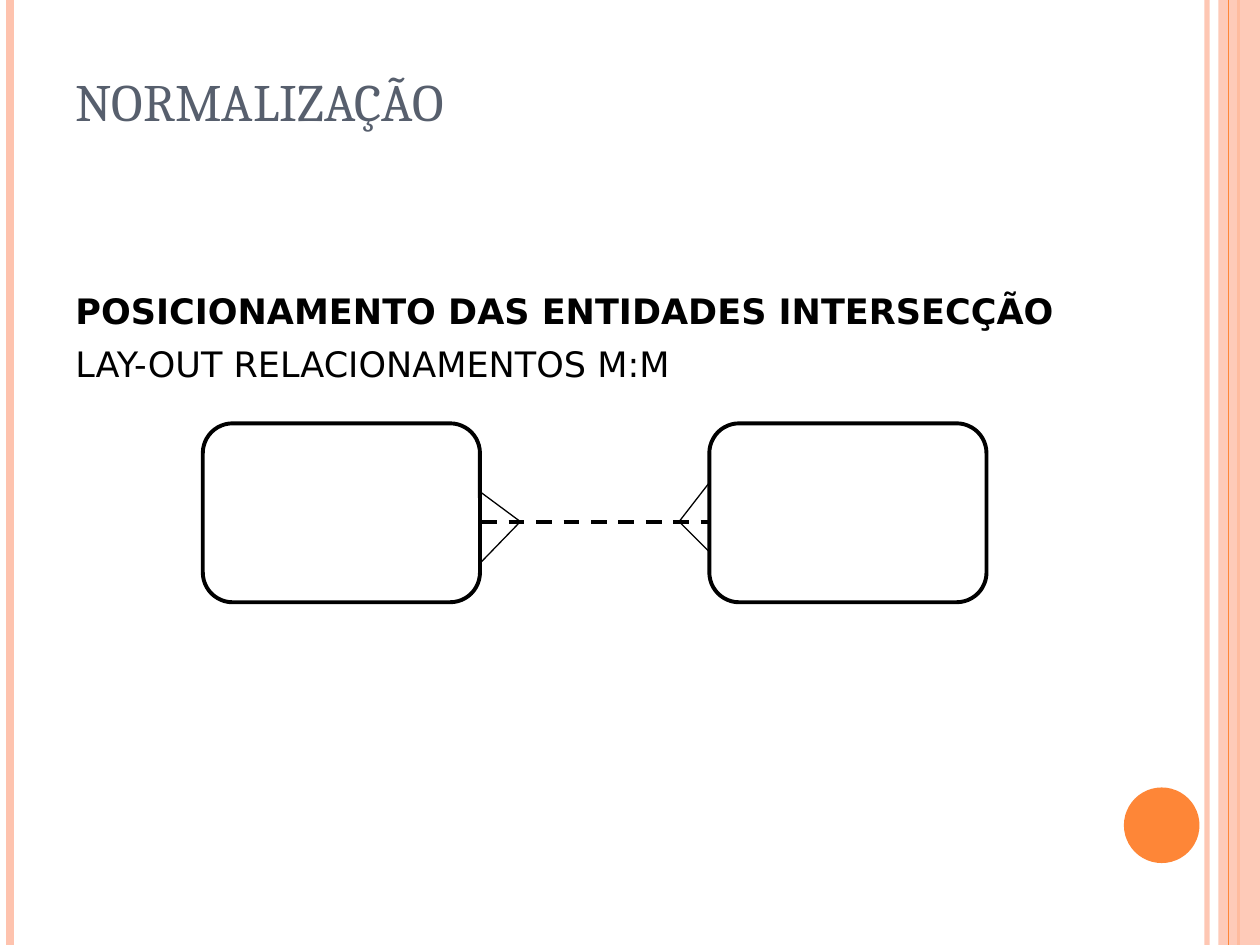
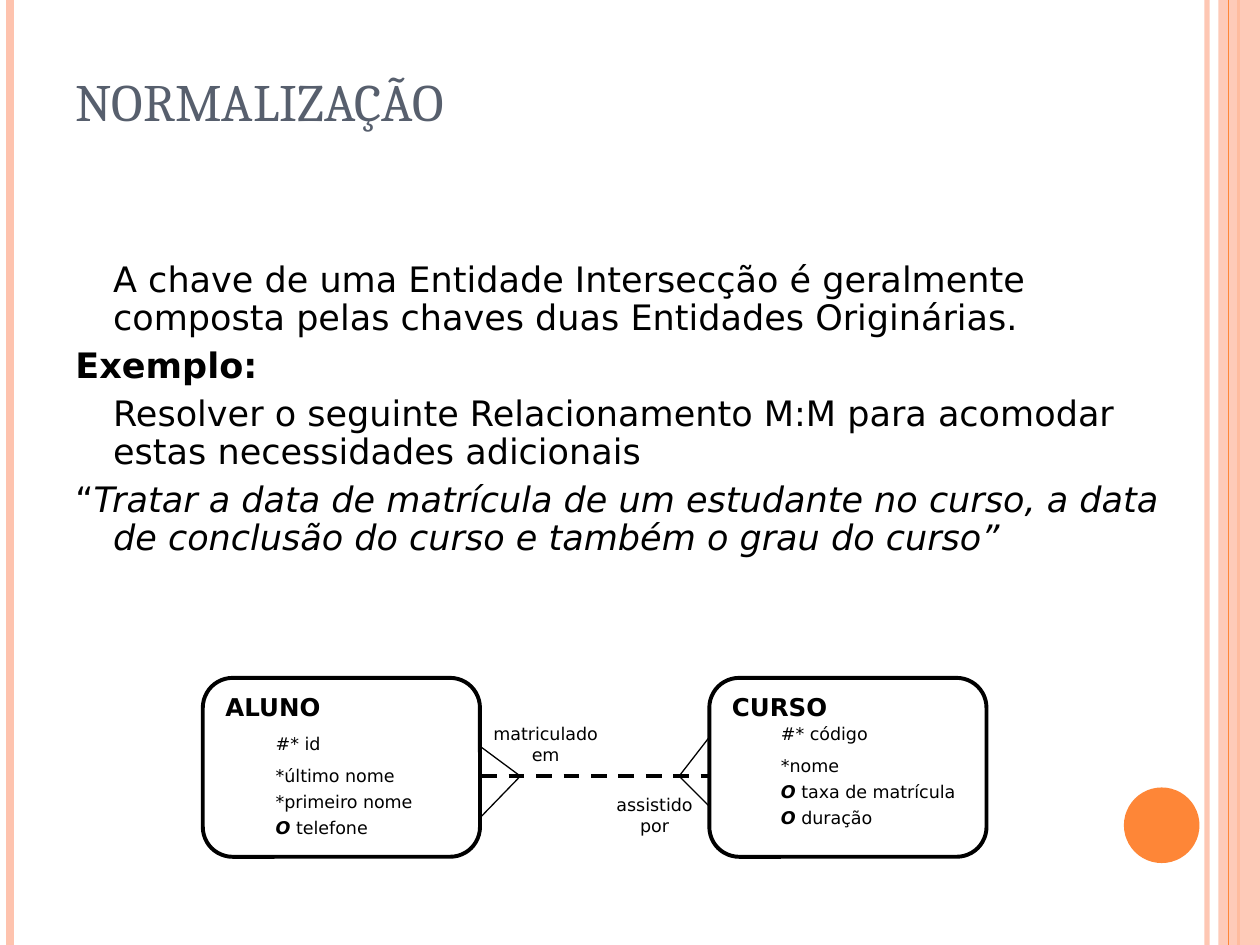
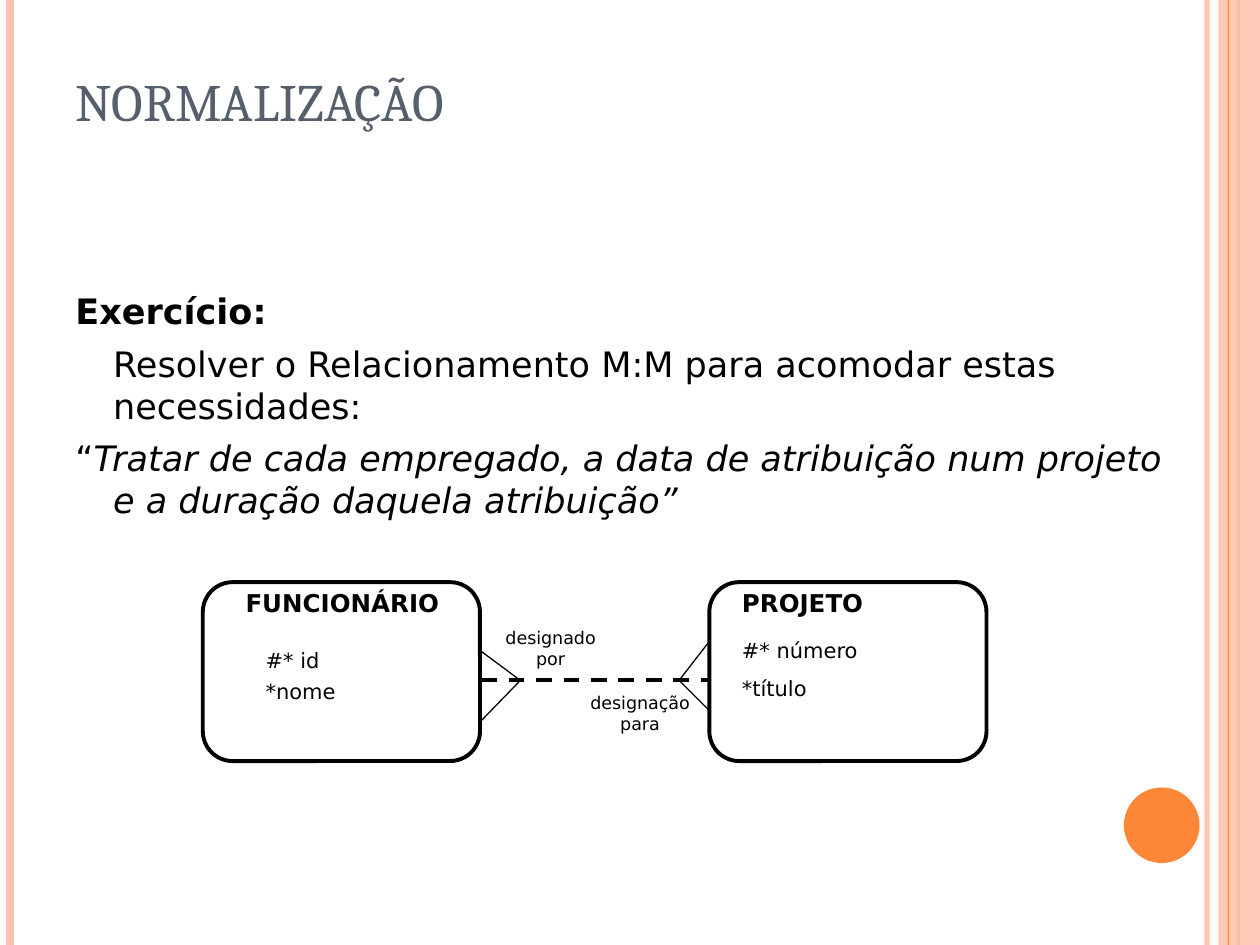
from dataclasses import dataclass

from lxml import etree
from pptx import Presentation
from pptx.dml.color import RGBColor
from pptx.enum.dml import MSO_LINE_DASH_STYLE as DASH
from pptx.enum.shapes import MSO_CONNECTOR_TYPE as CONNECTOR
from pptx.enum.shapes import MSO_SHAPE as SHAPE
from pptx.enum.text import MSO_ANCHOR as ANCHOR
from pptx.enum.text import PP_ALIGN as ALIGN
from pptx.oxml.ns import qn
from pptx.util import Inches, Pt

BLACK = RGBColor(0x00, 0x00, 0x00)
SLATE = RGBColor(0x57, 0x5F, 0x6D)
ORANGE = RGBColor(0xFE, 0x86, 0x37)
PEACH = RGBColor(0xFE, 0xC3, 0xAE)
TITLE_FONT = "Cambria"
BODY_FONT = "DejaVu Sans"

SLIDE_WIDTH, SLIDE_HEIGHT = 10, 7.5
ENTITY_WIDTH, ENTITY_HEIGHT = 2.2, 1.42
LEFT_ENTITY, RIGHT_ENTITY = 1.61, 5.63
LEFT_EDGE = 3.82
LEFT_FORK, RIGHT_FORK = 4.13, 5.39
RELATION_DROP = 0.78
HANGING = 0.3


@dataclass
class Line:
    text: str
    bold: bool = False
    italic: bool = False
    lead: str = ""
    lead_bold_italic: bool = False
    spacing: float = 1.0
    margin: float = 0
    indent: float = 0


def set_alpha(color_format_parent, percent):
    color = color_format_parent.find(".//" + qn("a:srgbClr"))
    etree.SubElement(color, qn("a:alpha")).set("val", str(percent * 1000))


def add_line(slide, start, end, color, width, dash=None, alpha=None):
    connector = slide.shapes.add_connector(
        CONNECTOR.STRAIGHT, *map(Inches, start + end))
    connector.line.color.rgb = color
    connector.line.width = Pt(width)
    if dash:
        connector.line.dash_style = dash
    properties = connector._element.spPr
    if alpha:
        set_alpha(properties, alpha)
    etree.SubElement(properties, qn("a:effectLst"))


def add_filled(slide, kind, box, color, alpha=None):
    shape = slide.shapes.add_shape(kind, *map(Inches, box))
    shape.shadow.inherit = False
    shape.fill.solid()
    shape.fill.fore_color.rgb = color
    shape.line.fill.background()
    if alpha:
        set_alpha(shape._element.spPr, alpha)


def add_text(slide, box, lines, size, space_before=0, font=BODY_FONT,
             color=BLACK, align=ALIGN.LEFT):
    frame = slide.shapes.add_textbox(*map(Inches, box)).text_frame
    frame.word_wrap = True
    frame.vertical_anchor = ANCHOR.TOP
    for index, line in enumerate(lines):
        paragraph = frame.paragraphs[0] if index == 0 else frame.add_paragraph()
        properties = paragraph._p.get_or_add_pPr()
        properties.set("marL", str(Inches(line.margin)))
        properties.set("indent", str(Inches(line.indent)))
        paragraph.alignment = align
        paragraph.line_spacing = line.spacing
        if index:
            paragraph.space_before = Pt(space_before)
        paragraph.font.name = font
        paragraph.font.size = Pt(size)
        paragraph.font.color.rgb = color
        paragraph.font.bold = line.bold
        if line.lead:
            lead = paragraph.add_run()
            lead.text = line.lead
            if line.lead_bold_italic:
                lead.font.bold = lead.font.italic = True
        run = paragraph.add_run()
        run.text = line.text
        if line.italic:
            run.font.italic = True


def add_body(slide, box, lines):
    add_text(slide, box, lines, 20, 6)


def hanging(text, **options):
    return Line(text, margin=HANGING, indent=-HANGING, **options)


def indented(text, **options):
    return Line(text, margin=HANGING, **options)


def quoted(text, **options):
    return hanging(text, lead="“", italic=True, **options)


def tight(text):
    return Line(text, spacing=0.7)


def optional(text):
    return Line(" " + text, lead="O", lead_bold_italic=True, spacing=0.7)


def add_entity(slide, left, top):
    shape = slide.shapes.add_shape(
        SHAPE.FLOWCHART_ALTERNATE_PROCESS,
        *map(Inches, (left, top, ENTITY_WIDTH, ENTITY_HEIGHT)))
    shape.shadow.inherit = False
    shape.fill.background()
    shape.line.color.rgb = BLACK
    shape.line.width = Pt(2.25)


def add_many_to_many(slide, top):
    middle = top + RELATION_DROP
    add_entity(slide, LEFT_ENTITY, top)
    add_line(slide, (LEFT_EDGE, middle), (RIGHT_ENTITY, middle), BLACK, 2.25,
             DASH.DASH)
    add_entity(slide, RIGHT_ENTITY, top)
    for fork, edge, drops in ((LEFT_FORK, LEFT_EDGE, (0.55, 1.1)),
                              (RIGHT_FORK, RIGHT_ENTITY, (0.47, 1.02))):
        for drop in drops:
            add_line(slide, (fork, middle), (edge, top + drop), BLACK, 0.75)


def add_entity_name(slide, box, name):
    add_text(slide, box, [Line(name, bold=True)], 14)


def add_role(slide, box, role):
    add_text(slide, box, [Line(role)], 10, align=ALIGN.CENTER)


def add_stripe(slide, x, color, width, alpha=None):
    add_line(slide, (x, 0), (x, SLIDE_HEIGHT), color, width, alpha=alpha)


def start_slide(presentation):
    slide = presentation.slides.add_slide(presentation.slide_layouts[6])
    add_stripe(slide, 9.58, PEACH, 3, 93)
    add_stripe(slide, 0.08, PEACH, 4.5)
    add_stripe(slide, 9.83, ORANGE, 1.5)
    add_filled(slide, SHAPE.RECTANGLE, (9.67, 0, 0.33, SLIDE_HEIGHT), PEACH, 87)
    add_stripe(slide, 9.75, ORANGE, 0.75)
    add_filled(slide, SHAPE.OVAL, (8.92, 6.25, 0.6, 0.6), ORANGE)
    add_text(slide, (0.5, 0.3, 8.17, 1.25), [Line("NORMALIZAÇÃO", spacing=1.4)],
             30, font=TITLE_FONT, color=SLATE)
    return slide


def build_layout_slide(presentation):
    slide = start_slide(presentation)
    add_body(slide, (0.5, 2.25, 9, 4.45), [
        hanging("POSICIONAMENTO DAS ENTIDADES INTERSECÇÃO", bold=True),
        hanging("LAY-OUT RELACIONAMENTOS M:M"),
    ])
    add_many_to_many(slide, 3.36)


def build_example_slide(presentation):
    slide = start_slide(presentation)
    add_body(slide, (0.5, 2.03, 9, 2.68), [
        indented("A chave de uma Entidade Intersecção é geralmente composta "
                 "pelas chaves duas Entidades Originárias.", spacing=0.9),
        hanging("Exemplo:", bold=True, spacing=0.9),
        indented("Resolver o seguinte Relacionamento M:M para acomodar estas "
                 "necessidades adicionais", spacing=0.9),
        quoted("Tratar a data de matrícula de um estudante no curso, a data de "
               "conclusão do curso e também o grau do curso”", spacing=0.9),
    ])
    add_many_to_many(slide, 5.38)
    add_entity_name(slide, (1.69, 5.44, 1.02, 0.34), "ALUNO")
    add_entity_name(slide, (5.71, 5.44, 1.18, 0.34), "CURSO")
    add_text(slide, (2.09, 5.77, 1.73, 0.93), [
        Line("#* id"), Line("*último nome"), tight("*primeiro nome"),
        optional("telefone"),
    ], 10, 6.2)
    add_text(slide, (6.1, 5.69, 2.76, 0.93), [
        Line("#* código"), Line("*nome"), optional("taxa de matrícula"),
        optional("duração"),
    ], 10, 6.2)
    add_role(slide, (3.74, 5.69, 1.18, 0.44), "matriculado em")
    add_role(slide, (4.76, 6.25, 0.87, 0.44), "assistido por")


def build_exercise_slide(presentation):
    slide = start_slide(presentation)
    add_body(slide, (0.5, 2.25, 9, 4.45), [
        hanging("Exercício:", bold=True),
        indented("Resolver o Relacionamento M:M para acomodar estas "
                 "necessidades:"),
        quoted("Tratar de cada empregado, a data de atribuição num projeto e a "
               "duração daquela atribuição”"),
    ])
    add_many_to_many(slide, 4.62)
    add_entity_name(slide, (1.85, 4.62, 1.89, 0.34), "FUNCIONÁRIO")
    add_entity_name(slide, (5.79, 4.62, 1.26, 0.34), "PROJETO")
    add_text(slide, (2.01, 5.09, 2.05, 0.55),
             [Line("#* id"), tight("*nome")], 12, 7.5)
    add_text(slide, (5.79, 5.01, 1.34, 0.61),
             [Line("#* número"), Line("*título")], 12, 7.5)
    add_role(slide, (3.82, 4.93, 1.1, 0.44), "designado por")
    add_role(slide, (4.53, 5.44, 1.1, 0.44), "designação para")


def main():
    presentation = Presentation()
    presentation.slide_width = Inches(SLIDE_WIDTH)
    presentation.slide_height = Inches(SLIDE_HEIGHT)
    build_layout_slide(presentation)
    build_example_slide(presentation)
    build_exercise_slide(presentation)
    presentation.save("out.pptx")


if __name__ == "__main__":
    main()
